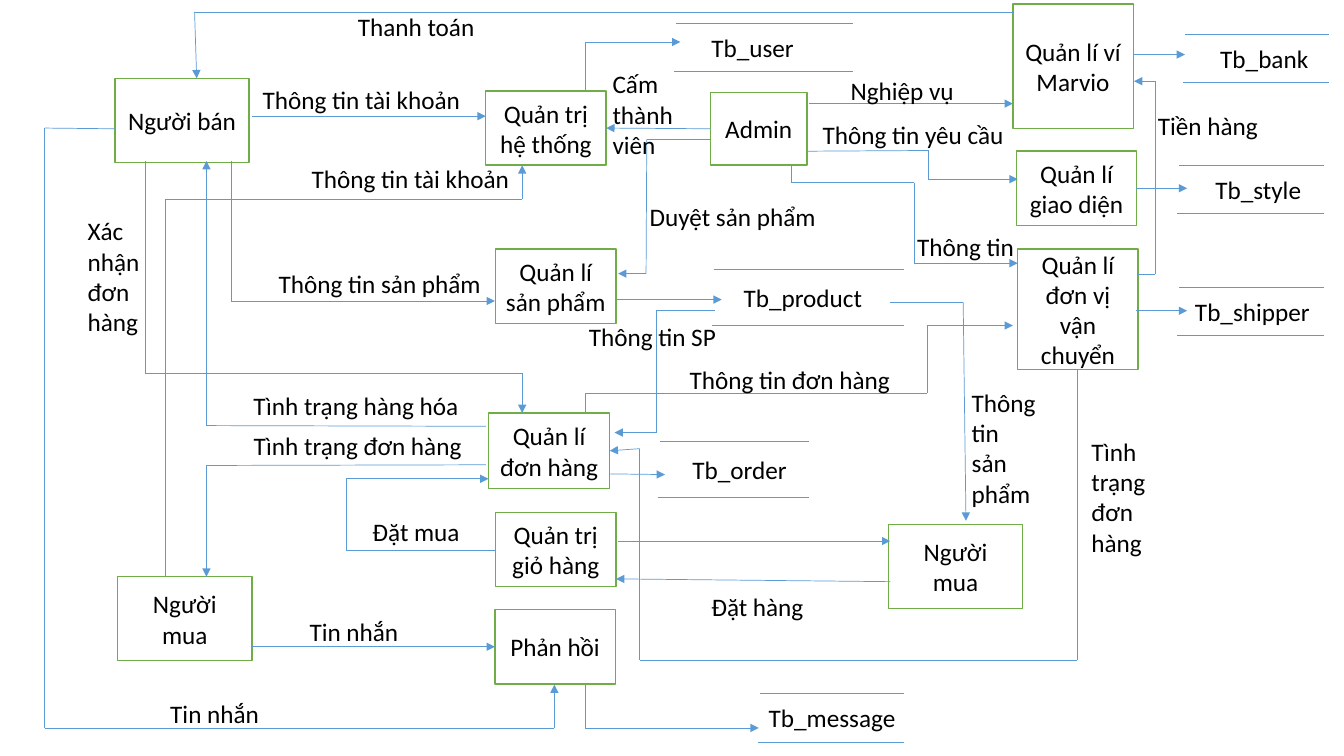
from lxml import etree
from pptx import Presentation
from pptx import util as u
from pptx.dml import color
from pptx.enum import shapes, text
from pptx.oxml import ns

COLORS = {"ink": "000000", "box": "70AD47", "flow": "5B9BD5", "paper": "FFFFFF"}

BOXES = [
    ("Quản trị hệ thống", 347, 65, 86, 53),
    ("Quản lí sản phẩm", 354, 178, 86, 53),
    ("Quản lí đơn hàng", 349, 295, 86.5, 54),
    ("Quản trị giỏ hàng", 354, 366, 86, 53),
    ("Phản hồi", 353.5, 435.5, 86, 53),
    ("Người bán", 82, 56, 96, 60),
    ("Người mua", 84, 412, 96, 60),
    ("Người mua", 634.5, 374.5, 96, 60),
    ("Admin", 507.5, 66, 69, 52),
    ("Quản lí ví Marvio", 723.5, 3, 86, 89),
    ("Quản lí giao diện", 726, 108, 86, 53),
    ("Quản lí đơn vị vận chuyển", 727, 178, 86, 86),
]

STORES = [
    ("Tb_user", 483, 609, 16.5, 51, 501, 75),
    ("Tb_product", 510, 646, 192.5, 232.5, 524, 101),
    ("Tb_order", 471.5, 578, 315.5, 355.5, 487.5, 84),
    ("Tb_bank", 846.5, 949.5, 24.5, 59, 864.5, 85),
    ("Tb_style", 842.5, 945.5, 118, 152.5, 861, 85),
    ("Tb_shipper", 842.5, 945.5, 205, 239.5, 846.5, 100),
    ("Tb_message", 543, 646, 495.5, 530, 542, 114),
]

FLOWS = [
    [(180, 83), (347, 83)],
    [(418, 65), (418, 30), (486, 30)],
    [(165, 115), (165, 215), (353.5, 215)],
    [(440, 214), (515.5, 214)],
    [(636, 216), (688, 216), (690, 372)],
    [(435.5, 338.5), (475, 339)],
    [(347, 304.5), (147.5, 304), (147.5, 115)],
    [(507.5, 99.5), (462, 99.5), (461.5, 195.5), (441.5, 195.5)],
    [(118, 412), (118, 142.5), (373, 142.5), (373, 118)],
    [(347, 332), (147.5, 332.5), (147.5, 412)],
    [(103.5, 115), (103.5, 266.5), (373, 266.5), (373, 295)],
    [(510.5, 222), (468.5, 222), (468.5, 309), (439, 309)],
    [(636, 415.5), (440, 413.5)],
    [(354, 393), (247.5, 393), (247.5, 342), (349, 342)],
    [(507.5, 92), (433, 91.5)],
    [(577, 108), (663, 107.5), (663, 128), (727, 128)],
    [(811.5, 134.5), (848, 134.5)],
    [(418, 295), (418, 281), (662.5, 281), (662.5, 232.5), (723.5, 232.5)],
    [(769.5, 263.5), (769.5, 471.5), (457, 471.5), (457, 320.5), (435.5, 322)],
    [(565, 118), (565, 130.5), (653, 130.5), (653, 188), (727, 188)],
    [(811.5, 222), (848, 222)],
    [(441.5, 386.5), (636, 386.5)],
    [(810, 39), (846.5, 39)],
    [(578, 74), (723.5, 74)],
    [(813, 196), (825, 196), (825, 58), (810, 58)],
    [(723.5, 8.5), (139, 8.5), (140.5, 56)],
    [(180, 462), (353.5, 462)],
    [(418, 489), (418, 520), (542, 520)],
    [(82, 92), (32, 91.5), (32, 520), (396, 520), (396, 489)],
]

LABELS = [
    ("Thông tin tài khoản", 180.5, 57, 158),
    ("Thông tin tài khoản", 215.5, 113, 158),
    ("Thông tin sản phẩm", 192, 188, 160.5),
    ("Tình trạng đơn hàng", 174, 304, 165),
    ("Tình trạng hàng hóa", 174, 275, 163),
    ("Thông tin SP", 413.5, 226, 106.5),
    ("Duyệt sản phẩm", 457, 140.5, 134.5),
    ("Đặt hàng", 501, 418.5, 81.5),
    ("Đặt mua", 259, 365, 78),
    ("Thông tin yêu cầu", 580.5, 82, 145.5),
    ("Thông tin đơn hàng", 485.5, 257, 160),
    ("Thông tin", 648, 162, 85),
    ("Tiền hàng", 820, 75.5, 87),
    ("Nghiệp vụ", 600.5, 50.5, 89),
    ("Thanh toán", 248.5, 4.5, 98.5),
    ("Tin nhắn", 214, 436.5, 78.5),
    ("Tin nhắn", 114.5, 495.5, 78.5),
]

WRAPPED_LABELS = [
    ("Cấm thành viên", 430.5, 45.5, 72, 72.5),
    ("Thông tin sản phẩm", 687, 273, 61, 94.5),
    ("Xác nhận đơn hàng", 55.5, 150.5, 59, 94.5),
    ("Tình trạng đơn hàng", 772.5, 308, 53.5, 94.5),
]


def rgb(name):
    return color.RGBColor.from_string(COLORS[name])


def write(tf, content, size=18, font="Calibri", ink="ink",
          align=text.PP_ALIGN.LEFT, anchor=text.MSO_ANCHOR.TOP, wrap=True):
    tf.word_wrap = wrap
    tf.vertical_anchor = anchor
    p = tf.paragraphs[0]
    p.alignment = align
    r = p.add_run()
    r.text = content
    r.font.size = u.Pt(size)
    r.font.name = font
    r.font.color.rgb = rgb(ink)


class Diagram:
    box_line = 1
    flow_line = 0.5
    label_height = 29
    bar_skew = 1.5

    def __init__(self, s):
        self.s = s

    def box(self, content, *place):
        sp = self.s.shapes.add_shape(shapes.MSO_SHAPE.RECTANGLE, *map(u.Pt, place))
        sp.shadow.inherit = False
        sp.fill.solid()
        sp.fill.fore_color.rgb = rgb("paper")
        sp.line.color.rgb = rgb("box")
        sp.line.width = u.Pt(self.box_line)
        write(sp.text_frame, content, align=text.PP_ALIGN.CENTER,
              anchor=text.MSO_ANCHOR.MIDDLE)

    def label(self, content, x, y, w, h=label_height, wrap=False):
        sp = self.s.shapes.add_textbox(*map(u.Pt, (x, y, w, h)))
        write(sp.text_frame, content, wrap=wrap)

    def line(self, start, end, arrow=False):
        sp = self.s.shapes.add_connector(shapes.MSO_CONNECTOR.STRAIGHT,
                                         *map(u.Pt, start + end))
        sp.line.color.rgb = rgb("flow")
        sp.line.width = u.Pt(self.flow_line)
        if arrow:
            etree.SubElement(sp.line._get_or_add_ln(), ns.qn("a:tailEnd"), type="triangle")
        etree.SubElement(sp._element.spPr, ns.qn("a:effectLst"))

    def flow(self, points):
        for i in range(1, len(points)):
            self.line(points[i - 1], points[i], arrow=i == len(points) - 1)

    def store(self, name, left, right, top, bottom, x, w):
        self.line((left, top), (right, top))
        self.line((left - self.bar_skew, bottom), (right, bottom))
        self.label(name, x, (top + bottom - self.label_height) / 2, w, wrap=True)


def main():
    prs = Presentation()
    prs.slide_width, prs.slide_height = u.Pt(960), u.Pt(540)
    d = Diagram(prs.slides.add_slide(prs.slide_layouts[6]))
    for box in BOXES:
        d.box(*box)
    for store in STORES:
        d.store(*store)
    for points in FLOWS:
        d.flow(points)
    for label in LABELS:
        d.label(*label)
    for label in WRAPPED_LABELS:
        d.label(*label, wrap=True)
    prs.save("out.pptx")


if __name__ == "__main__":
    main()
